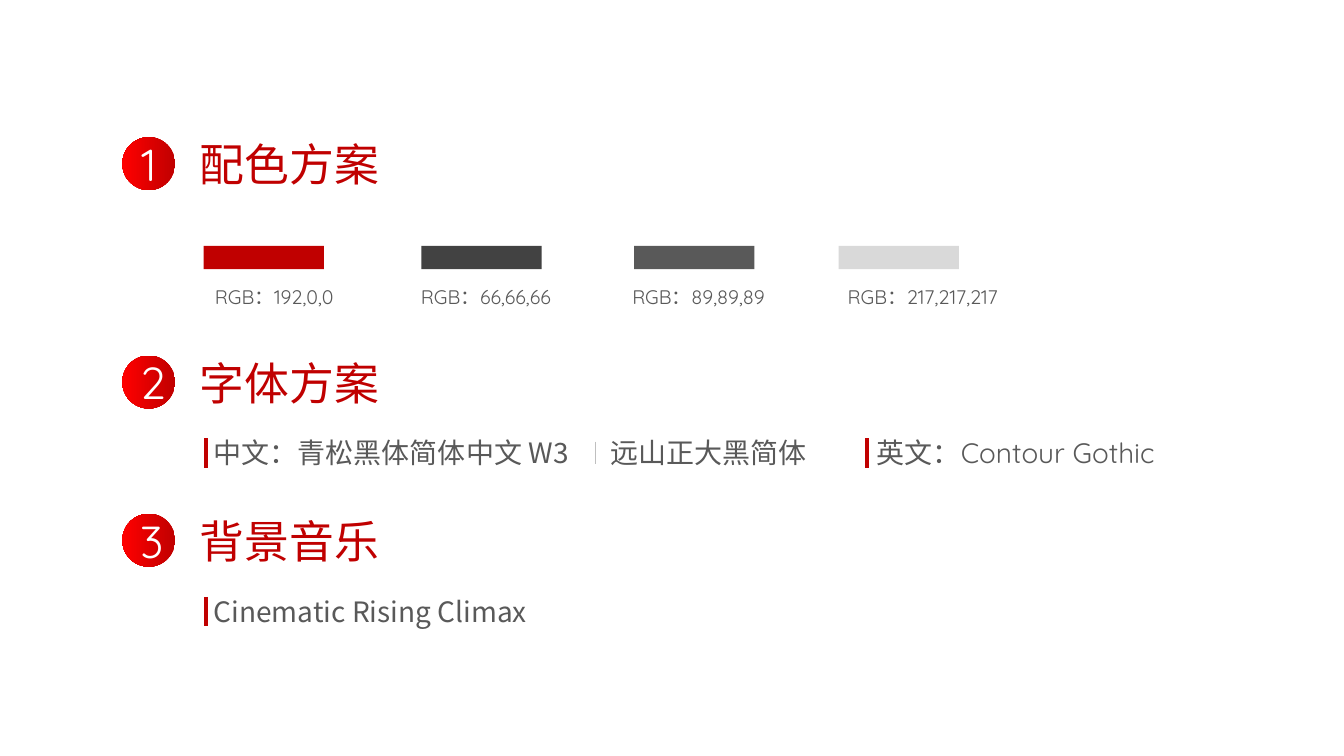
from dataclasses import dataclass

from lxml import etree
from pptx import Presentation
from pptx.dml.color import RGBColor
from pptx.enum.shapes import MSO_CONNECTOR, MSO_SHAPE
from pptx.enum.text import MSO_ANCHOR, MSO_AUTO_SIZE, PP_ALIGN
from pptx.oxml.ns import qn
from pptx.util import Pt

LEFT, CENTER = PP_ALIGN.LEFT, PP_ALIGN.CENTER
TOP, MIDDLE = MSO_ANCHOR.TOP, MSO_ANCHOR.MIDDLE
NO_FIT = MSO_AUTO_SIZE.NONE
STRAIGHT = MSO_CONNECTOR.STRAIGHT
OVAL, RECTANGLE = MSO_SHAPE.OVAL, MSO_SHAPE.RECTANGLE

DARK_RED = RGBColor(192, 0, 0)
BRIGHT_RED = RGBColor(255, 0, 0)
CHARCOAL = RGBColor(66, 66, 66)
GRAY = RGBColor(89, 89, 89)
LIGHT_GRAY = RGBColor(217, 217, 217)
DIVIDER_GRAY = RGBColor(191, 191, 191)
WHITE = RGBColor(255, 255, 255)

CHINESE_FONT = "Noto Sans CJK SC"
LATIN_FONT = "Quicksand"
COMPARISON_LAYOUT = 4

BADGE_LEFT, BADGE_SIZE = 87.4, 37.8
HEADING_LEFT, HEADING_WIDTH, HEADING_HEIGHT = 135.4, 150.5, 46
HEADING_RISE = 3.8
SWATCH_TOP, SWATCH_WIDTH, SWATCH_HEIGHT = 175.7, 86, 16.6
LABEL_TOP, LABEL_HEIGHT = 200, 24.5
DETAIL_HEIGHT = 31.7
FONT_ROW, MUSIC_ROW = 307.4, 421


@dataclass(frozen=True)
class Style:
    font: str
    size: float
    color: RGBColor
    align: PP_ALIGN = LEFT
    anchor: MSO_ANCHOR = TOP


@dataclass(frozen=True)
class Section:
    number: str
    heading: str
    top: float


@dataclass(frozen=True)
class Swatch:
    left: float
    color: RGBColor
    label: str
    label_left: float
    label_width: float = 121


@dataclass(frozen=True)
class Rule:
    left: float
    top: float
    length: float
    color: RGBColor = DARK_RED
    weight: float = 3


BADGE = Style(LATIN_FONT, 32, WHITE, CENTER, MIDDLE)
HEADING = Style(CHINESE_FONT, 32, DARK_RED)
DETAIL = Style(CHINESE_FONT, 20, GRAY)
LATIN_DETAIL = Style(LATIN_FONT, 20, GRAY)
LABEL = Style(LATIN_FONT, 14, GRAY, CENTER)

SECTIONS = [
    Section("1", "配色方案", 98),
    Section("2", "字体方案", 254),
    Section("3", "背景音乐", 367),
]
SWATCHES = [
    Swatch(145.4, DARK_RED, "RGB：192,0,0", 135.4),
    Swatch(301, CHARCOAL, "RGB：66,66,66", 286.6),
    Swatch(452.9, GRAY, "RGB：89,89,89", 438.5),
    Swatch(599, LIGHT_GRAY, "RGB：217,217,217", 589, 140.4),
]
RULES = [
    Rule(146.9, FONT_ROW + 5.6, 21),
    Rule(619.2, FONT_ROW + 5.6, 21),
    Rule(146.9, MUSIC_ROW + 5.4, 21),
    Rule(425.5, FONT_ROW + 8, 15.8, DIVIDER_GRAY, 0.5),
]


def apply_format(target, values: dict) -> None:
    for attribute, value in values.items():
        setattr(target, attribute, value)


def place(shape, left: float, top: float, width: float, height: float) -> None:
    apply_format(shape, {"left": Pt(left), "top": Pt(top),
                         "width": Pt(width), "height": Pt(height)})


def write(shape, style: Style, text: str) -> None:
    frame = shape.text_frame
    apply_format(frame, {"word_wrap": True, "auto_size": NO_FIT,
                         "vertical_anchor": style.anchor})
    paragraph = frame.paragraphs[0]
    properties = paragraph._p.get_or_add_pPr()
    properties.set("marL", "0")
    properties.set("indent", "0")
    etree.SubElement(properties, qn("a:buNone"))
    apply_format(paragraph, {"alignment": style.align, "space_before": Pt(0)})
    add_run(paragraph, style, text)


def add_run(paragraph, style: Style, text: str) -> None:
    run = paragraph.add_run()
    run.text = text
    apply_format(run.font, {"name": style.font, "size": Pt(style.size), "bold": False})
    run.font.color.rgb = style.color
    east_asian = etree.SubElement(run._r.get_or_add_rPr(), qn("a:ea"))
    east_asian.set("typeface", style.font)


def add_text(slide, left: float, top: float, width: float, height: float,
             style: Style, text: str):
    box = slide.shapes.add_textbox(Pt(left), Pt(top), Pt(width), Pt(height))
    write(box, style, text)
    return box


def draw_section(slide, section: Section, heading) -> None:
    badge = slide.shapes.add_shape(OVAL, Pt(BADGE_LEFT), Pt(section.top),
                                   Pt(BADGE_SIZE), Pt(BADGE_SIZE))
    badge.shadow.inherit = False
    badge.line.fill.background()
    badge.fill.gradient()
    badge.fill.gradient_angle = 180
    for stop, color in zip(badge.fill.gradient_stops, (DARK_RED, BRIGHT_RED)):
        stop.color.rgb = color
    write(badge, BADGE, section.number)
    place(heading, HEADING_LEFT, section.top - HEADING_RISE, HEADING_WIDTH, HEADING_HEIGHT)
    write(heading, HEADING, section.heading)


def draw_swatch(slide, swatch: Swatch) -> None:
    bar = slide.shapes.add_shape(RECTANGLE, Pt(swatch.left), Pt(SWATCH_TOP),
                                 Pt(SWATCH_WIDTH), Pt(SWATCH_HEIGHT))
    bar.shadow.inherit = False
    bar.fill.solid()
    bar.fill.fore_color.rgb = swatch.color
    bar.line.fill.background()
    add_text(slide, swatch.label_left, LABEL_TOP, swatch.label_width, LABEL_HEIGHT,
             LABEL, swatch.label)


def draw_rule(slide, rule: Rule) -> None:
    line = slide.shapes.add_connector(STRAIGHT, Pt(rule.left), Pt(rule.top),
                                      Pt(rule.left), Pt(rule.top + rule.length))
    line.line.color.rgb = rule.color
    line.line.width = Pt(rule.weight)
    etree.SubElement(line._element.spPr, qn("a:effectLst"))


def main() -> None:
    deck = Presentation()
    apply_format(deck, {"slide_width": Pt(960), "slide_height": Pt(540)})
    slide = deck.slides.add_slide(deck.slide_layouts[COMPARISON_LAYOUT])
    color_title, font_title, chinese_fonts, music_title, music = slide.placeholders

    for section, heading in zip(SECTIONS, (color_title, font_title, music_title)):
        draw_section(slide, section, heading)
    for swatch in SWATCHES:
        draw_swatch(slide, swatch)

    for body, top, text in (
        (chinese_fonts, FONT_ROW, "中文：青松黑体简体中文 W3"),
        (music, MUSIC_ROW, "Cinematic Rising Climax"),
    ):
        place(body, 145.4, top, 293.8, DETAIL_HEIGHT)
        write(body, DETAIL, text)
    add_text(slide, 429, FONT_ROW, 156, DETAIL_HEIGHT, DETAIL, "远山正大黑简体")
    english_font = add_text(slide, 619.2, FONT_ROW, 225.4, DETAIL_HEIGHT, DETAIL, "英文：")
    add_run(english_font.text_frame.paragraphs[0], LATIN_DETAIL, "Contour Gothic")

    for rule in RULES:
        draw_rule(slide, rule)
    deck.save("out.pptx")


if __name__ == "__main__":
    main()
